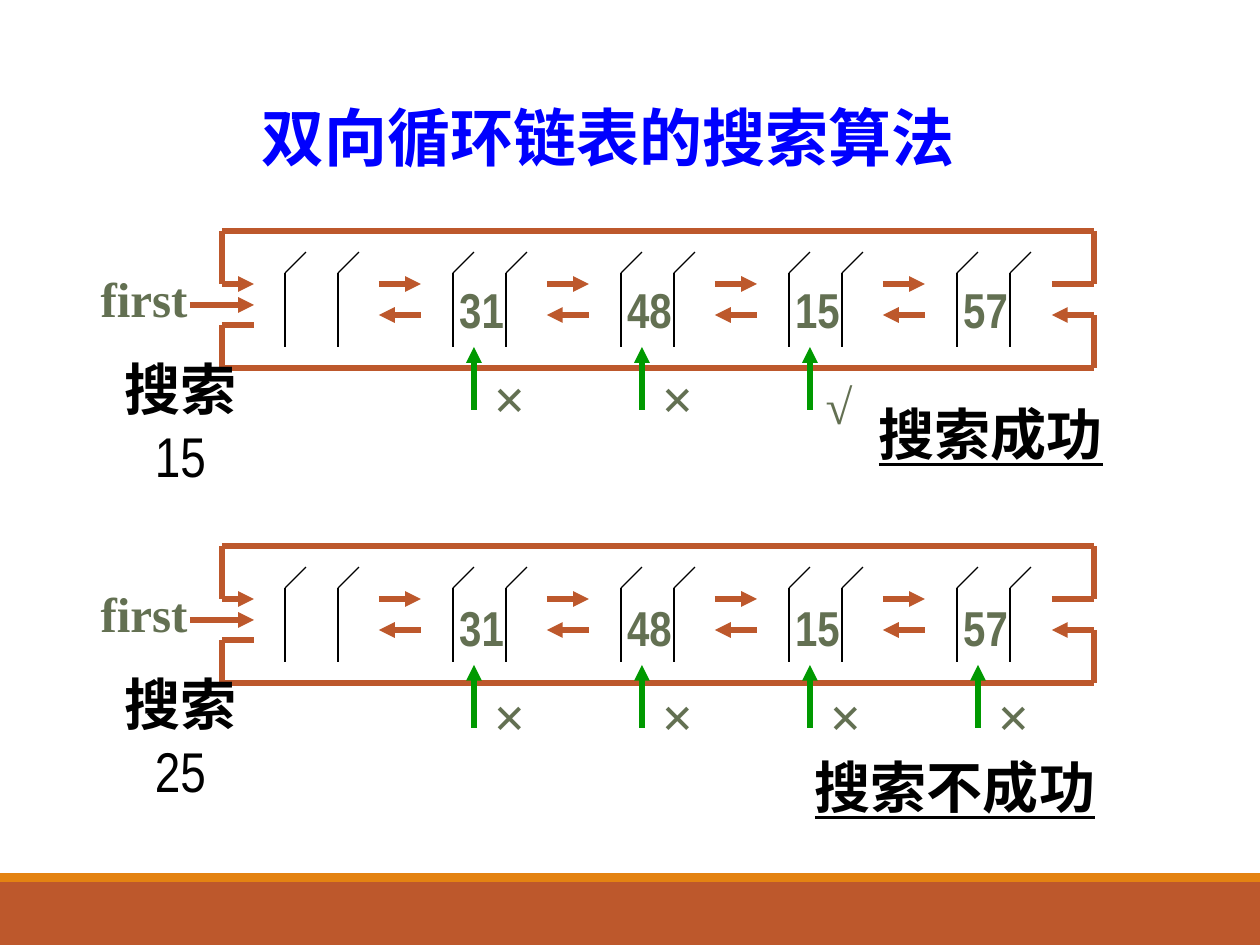
from pptx import Presentation
from pptx.dml.color import RGBColor
from pptx.enum.shapes import MSO_CONNECTOR, MSO_SHAPE
from pptx.enum.text import MSO_ANCHOR, MSO_AUTO_SIZE, PP_ALIGN
from pptx.oxml.ns import qn
from pptx.util import Emu, Pt
from lxml import etree

LINE = MSO_CONNECTOR.STRAIGHT
RECT = MSO_SHAPE.RECTANGLE
LEFT, CENTER = PP_ALIGN.LEFT, PP_ALIGN.CENTER
TOP, MIDDLE = MSO_ANCHOR.TOP, MSO_ANCHOR.MIDDLE
SERIF, NARROW = "Times New Roman", "Arial Narrow"
RUST, ORANGE, OLIVE = "BD582C", "E48312", "637052"
BLACK, BLUE, GREEN = "000000", "0000FF", "009900"
PITCH = 168  # from one list node to the next


def px(n):
    return Emu(round(n * 914400 / 126))


def rgb(code):
    return RGBColor.from_string(code)


def write(shape, text, size=28, font=SERIF, color=OLIVE, align=CENTER,
          anchor=MIDDLE, under=False, pad=(12, 6), wrap=False, plain=""):
    """Fill a shape with bold text; plain is a second line that is not bold."""
    frame = shape.text_frame
    frame.auto_size = MSO_AUTO_SIZE.NONE
    frame.word_wrap = wrap
    frame.vertical_anchor = anchor
    frame.margin_left = frame.margin_right = px(pad[0])
    frame.margin_top = frame.margin_bottom = px(pad[1])
    para = frame.paragraphs[0]
    para.alignment = align
    for part, bold in ((text, True), (plain, False)):
        if not part:
            continue
        if not bold:
            para.add_line_break()
        run = para.add_run()
        run.text = part
        run.font.size = Pt(size)
        run.font.name = font
        run.font.bold = bold
        run.font.underline = under
        run.font.color.rgb = rgb(color)


def label(slide, x, y, w, h, text, **style):
    box = slide.shapes.add_textbox(px(x), px(y), px(w), px(h))
    write(box, text, **style)


def line(slide, x1, y1, x2, y2, color=RUST, width=3, arrow=False):
    link = slide.shapes.add_connector(LINE, px(x1), px(y1), px(x2), px(y2))
    link.line.color.rgb = rgb(color)
    link.line.width = Pt(width)
    if arrow:
        tail = etree.SubElement(link.line._get_or_add_ln(), qn("a:tailEnd"))
        tail.set("type", "triangle")
    etree.SubElement(link._element.spPr, qn("a:effectLst"))


def add_title(slide, x, y, w, h):
    title = slide.shapes.title
    title.left, title.top, title.width, title.height = map(px, (x, y, w, h))
    write(title, "双向循环链表的搜索算法", size=36, color=BLUE,
          anchor=TOP, pad=(15, 8), wrap=True)


def add_bars(slide, y):
    for top, high, color in ((y + 9, 63, RUST), (y, 9, ORANGE)):
        bar = slide.shapes.add_shape(RECT, 0, px(top), px(1260), px(high))
        bar.shadow.inherit = False
        bar.fill.solid()
        bar.fill.fore_color.rgb = rgb(color)
        bar.line.fill.background()


def add_list(slide, x, y, w, h, values):
    """Draw the ring of links, with its nodes, inside the given box."""
    right, base = x + w, y + h
    go, back, end = y + 53, y + 84, y + 94

    # Node walls, each with a slanted top
    for i in range(len(values) + 1):
        for wall in (x + 63 + i * PITCH, x + 116 + i * PITCH):
            line(slide, wall, y + 42, wall, y + 116, BLACK, 0.75)
            line(slide, wall, y + 42, wall + 21, y + 21, BLACK, 0.75)

    # Links between neighbours
    for i in range(len(values)):
        near = x + 157 + i * PITCH
        line(slide, near, go, near + 42, go, arrow=True)
        line(slide, near + 42, back, near, back, arrow=True)

    # Outer ring
    for x1, y1, x2, y2 in (
        (x, y, right, y), (x, y, x, go), (right, y, right, go),
        (right - 42, go, right, go), (x, base, right, base),
        (x, end, x, base), (x, end, x + 32, end), (right, back, right, base),
    ):
        line(slide, x1, y1, x2, y2)
    line(slide, x, go, x + 32, go, arrow=True)
    line(slide, right, back, right - 42, back, arrow=True)

    # Head pointer
    line(slide, x - 32, y + 74, x + 32, y + 74, arrow=True)
    label(slide, x - 134, y + 31, 112, 72, "first")


def add_search(slide, x, y, values, key, marks, drop=0):
    """Write the values, the key and one mark for each node visited."""
    for i, value in enumerate(values):
        label(slide, x + 224 + i * PITCH, y + 42 + drop, 71, 72, value,
              font=NARROW)
    label(slide, x - 136, y + 151, 189, 79, "搜索", plain=key,
          size=32, font=NARROW, color=BLACK)
    for i, mark in enumerate(marks):
        mid = x + 252 + i * PITCH
        line(slide, mid, y + 179 + drop, mid, y + 116 + drop, GREEN, arrow=True)
        if mark == "√":
            label(slide, mid + 3, y + 138, 52, 72, mark)
        else:
            label(slide, mid + 7, y + 127 + drop, 57, 79, mark, size=32)


def add_result(slide, x, y, w, text):
    label(slide, x, y, w, 83, text, size=32, color=BLACK, align=LEFT,
          anchor=TOP, under=True, pad=(15, 8))


def main():
    deck = Presentation()
    deck.slide_width, deck.slide_height = px(1260), px(945)
    slide = deck.slides.add_slide(deck.slide_layouts[5])
    add_bars(slide, 873)
    add_title(slide, 197, 91, 822, 92)

    values = ("31", "48", "15", "57")
    for y, key, marks, drop in ((231, "15", "××√", 0), (546, "25", "××××", 3)):
        add_list(slide, 222, y, 872, 137, values)
        add_search(slide, 222, y, values, key, marks, drop)
    add_result(slide, 864, 392, 256, "搜索成功")
    add_result(slide, 800, 745, 312, "搜索不成功")
    deck.save("out.pptx")


if __name__ == "__main__":
    main()
